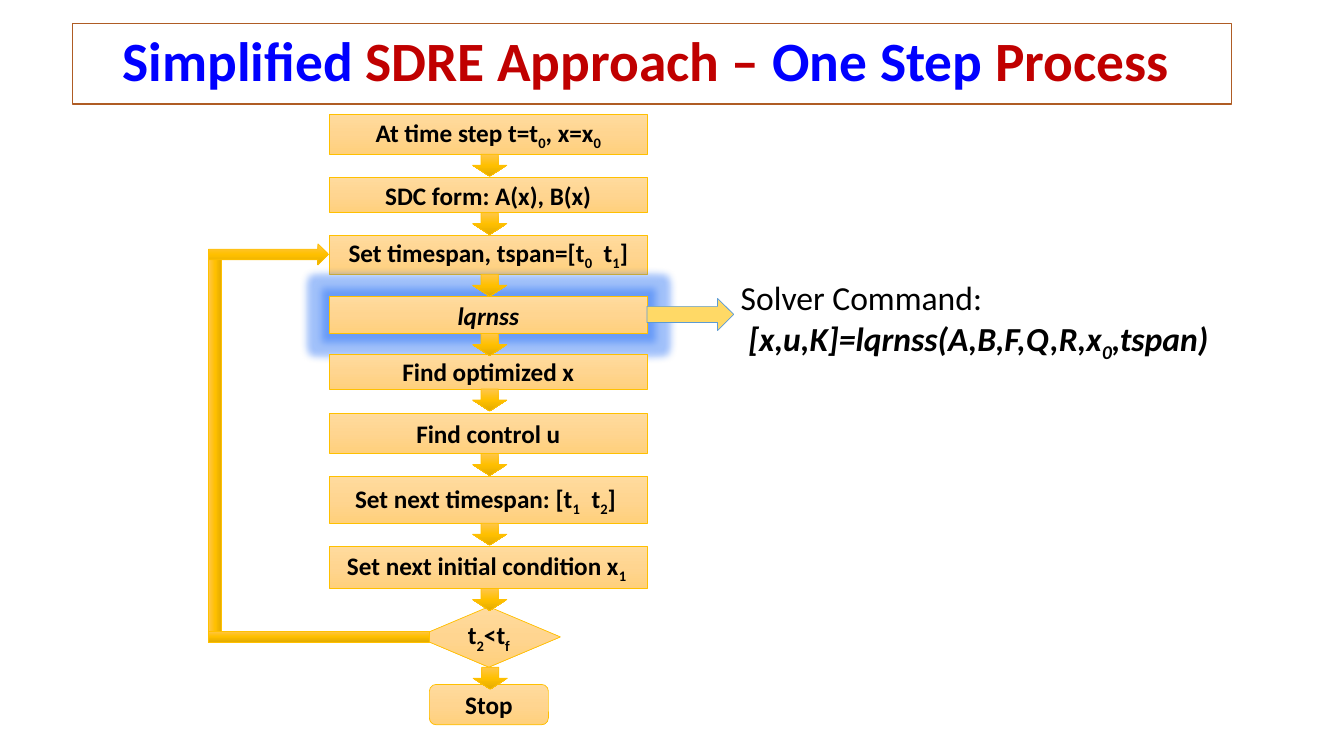
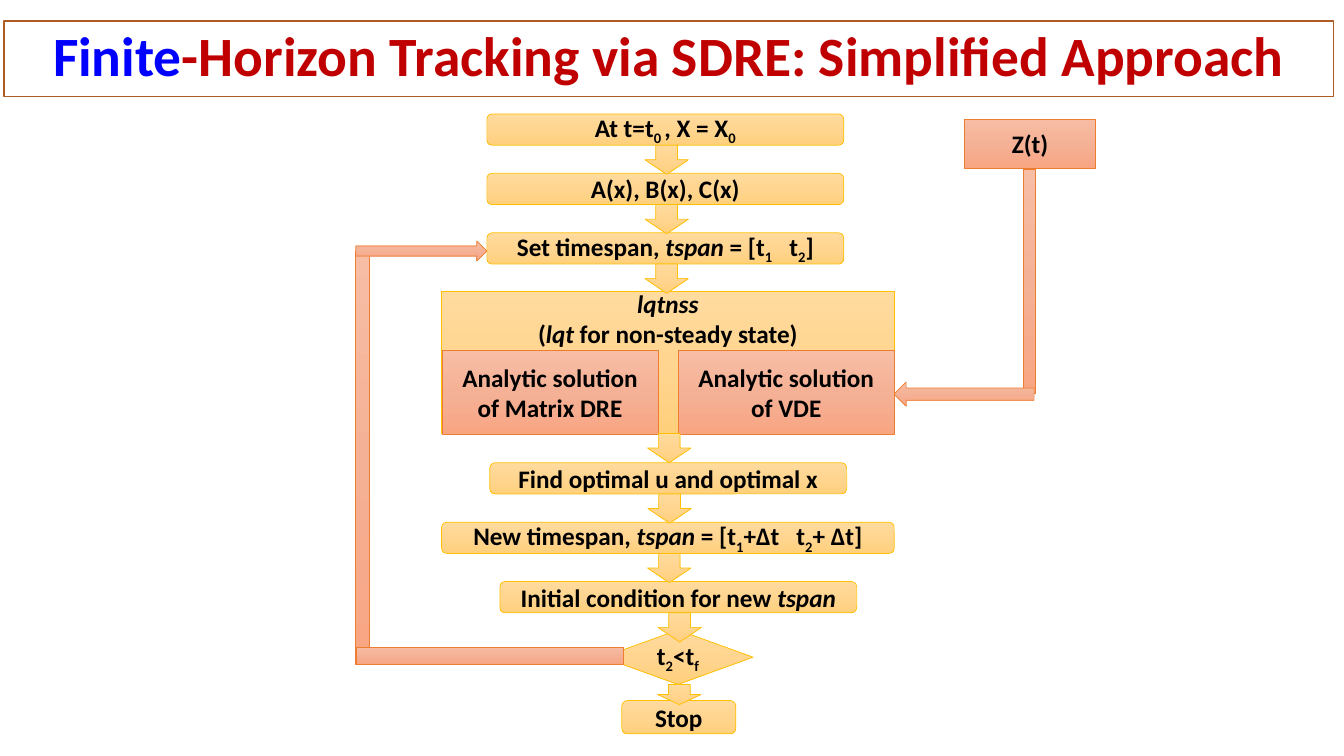
from dataclasses import dataclass
from copy import deepcopy
from lxml.etree import SubElement
from pptx import Presentation
from pptx.dml.color import RGBColor
from pptx.enum.shapes import MSO_SHAPE
from pptx.enum.text import MSO_ANCHOR, PP_ALIGN
from pptx.oxml.ns import qn
from pptx.util import Pt

FONT = "Calibri"
BLACK, WHITE, BLUE, RED, FRAME = "000000", "FFFFFF", "0000FF", "C00000", "AF5C24"
SAND = (("FFDB9E", "FFD590", "FFD07C"), "FFC000")
AMBER = (("FFC64B", "FFC000", "E3AB00"), "FFC000")
CORAL = (("F7BDA5", "F5B196", "F8A582"), "ED7D31")
YELLOW = (("FFD966",), "5B9BD5")
DOWNWARD, SIDEWAYS = 270, 0


@dataclass
class Box:
    left: float
    top: float
    width: float
    height: float

    @property
    def bottom(self):
        return self.top + self.height

    @property
    def middle(self):
        return self.left + self.width / 2

    def lengths(self):
        return [Pt(round(n, 2)) for n in (self.left, self.top, self.width, self.height)]


@dataclass
class Step:
    box: Box
    lines: list
    kind: MSO_SHAPE = MSO_SHAPE.RECTANGLE
    arrow_height: float = 0


def rgb(value):
    return RGBColor.from_string(value)


def paint_fill(fill, colours, angle):
    if len(colours) == 1:
        fill.solid()
        fill.fore_color.rgb = rgb(colours[0])
        return
    fill.gradient()
    fill.gradient_angle = angle
    first = fill._fill._gradFill.find(qn("a:gsLst"))[0]
    first.addnext(deepcopy(first))
    for stop, position, colour in zip(fill.gradient_stops, (0, 0.5, 1), colours):
        stop.position = position
        stop.color.rgb = rgb(colour)


def add_part(page, kind, box, style, angle=DOWNWARD, line_width=0.5):
    shape = page.shapes.add_shape(kind, *box.lengths())
    shape.shadow.inherit = False
    colours, outline = style
    paint_fill(shape.fill, colours, angle)
    shape.line.color.rgb = rgb(outline)
    shape.line.width = Pt(line_width)
    return shape


def add_span(para, text, size, colour=BLACK, marks="b"):
    span = para.add_run()
    span.text = text
    font = span.font
    font.name, font.size = FONT, Pt(size)
    font.bold, font.italic = "b" in marks, "i" in marks
    font.color.rgb = rgb(colour)
    if "s" in marks:
        font._element.set("baseline", "-25000")


def write(shape, lines, size=18, align=PP_ALIGN.CENTER):
    frame = shape.text_frame
    for number, line in enumerate(lines):
        para = frame.add_paragraph() if number else frame.paragraphs[0]
        para.alignment = align
        for text, marks in line:
            add_span(para, text, size, marks=marks)


def title(page, box, spans):
    shape = add_part(page, MSO_SHAPE.RECTANGLE, box, ((WHITE,), FRAME), line_width=1)
    shape.text_frame.word_wrap = True
    shape.text_frame.vertical_anchor = MSO_ANCHOR.MIDDLE
    para = shape.text_frame.paragraphs[0]
    para.alignment = PP_ALIGN.CENTER
    para.line_spacing = 0.9
    for text, colour in spans:
        add_span(para, text, 39.6, colour)


def labelled(page, kind, box, lines, style):
    shape = add_part(page, kind, box, style)
    shape.text_frame.word_wrap = True
    shape.text_frame.vertical_anchor = MSO_ANCHOR.MIDDLE
    write(shape, lines)
    return shape


def flow_steps(page, steps):
    return [labelled(page, step.kind, step.box, step.lines, SAND) for step in steps]


def flow_arrows(page, steps, width, height, style):
    for step in steps[:-1]:
        box = Box(step.box.middle + 1 - width / 2, step.box.bottom,
                  width, step.arrow_height or height)
        add_part(page, MSO_SHAPE.DOWN_ARROW, box, style)


def feedback_loop(page, box, style, arrow_width, arrow_height, bar_height, angle):
    riser_top = box.top + arrow_height / 2
    riser = Box(box.left, riser_top, 9.4, box.bottom - riser_top)
    add_part(page, MSO_SHAPE.RECTANGLE, riser, style, angle)
    bar = Box(box.left, box.bottom - bar_height, box.width, bar_height)
    add_part(page, MSO_SHAPE.RECTANGLE, bar, style)
    arrow = Box(box.left, box.top, arrow_width, arrow_height)
    add_part(page, MSO_SHAPE.RIGHT_ARROW, arrow, style)


def add_glow(shape, colour, radius, opacity):
    effects = shape._element.spPr.find(qn("a:effectLst"))
    glow = SubElement(effects, qn("a:glow"), rad=str(Pt(radius)))
    tint = SubElement(glow, qn("a:srgbClr"), val=colour)
    SubElement(tint, qn("a:alpha"), val=str(opacity * 1000))


def command_note(page, box):
    arrow = Box(box.left, box.top + 18.7, 61.9, 23)
    add_part(page, MSO_SHAPE.RIGHT_ARROW, arrow, YELLOW)
    text_box = Box(box.left + 59.8, box.top, box.width - 59.8, box.height)
    note = page.shapes.add_textbox(*text_box.lengths())
    note.text_frame.word_wrap = False
    write(note, [[("Solver Command:", "")],
                 [(" ", ""), ("[x,u,K]=lqrnss(A,B,F,Q,R,x", "bi"), ("0", "bis"),
                  (",tspan)", "bi")]], 24, PP_ALIGN.JUSTIFY)


def solver_parts(page, box):
    width = 154.1
    for left, name in ((box.left + 0.5, "Matrix DRE"), (box.left + box.width - width, "VDE")):
        part = Box(left, box.top + 42.5, width, 59.8)
        labelled(page, MSO_SHAPE.RECTANGLE, part,
                 [[("Analytic solution of " + name, "b")]], CORAL)


def reference_input(page, box):
    source = Box(box.left + 50.4, box.top, box.width - 50.4, 35.3)
    labelled(page, MSO_SHAPE.RECTANGLE, source, [[("Z(t)", "b")]], CORAL)
    stem = Box(source.middle - 5, source.bottom + 0.7, 8.6, 160)
    add_part(page, MSO_SHAPE.RECTANGLE, stem, CORAL)
    arrow = Box(box.left, box.bottom - 17.3, 100.1, 17.3)
    add_part(page, MSO_SHAPE.LEFT_ARROW, arrow, CORAL)


def condition(box, arrow_height=0):
    return Step(box, [[("t", "b"), ("2", "bs"), ("<t", "b"), ("f", "bs")]],
                MSO_SHAPE.FLOWCHART_DECISION, arrow_height)


def stop(box):
    return Step(box, [[("Stop", "b")]], MSO_SHAPE.FLOWCHART_ALTERNATE_PROCESS)


def one_step_process(page):
    title(page, Box(51.8, 16.6, 828, 57.6),
          [("Simplified", BLUE), (" SDRE Approach – ", RED),
           ("One Step ", BLUE), ("Process ", RED)])
    rows = [
        (81.4, 28.8, [("At time step t=t", "b"), ("0", "bs"), (", x=x", "b"), ("0", "bs")]),
        (126.7, 25.2, [("SDC form: A(x), B(x)", "b")]),
        (167.8, 28.1, [("Set timespan, tspan=[t", "b"), ("0", "bs"), ("  t", "b"),
                       ("1", "bs"), ("]", "b")]),
        (211.7, 26.6, [("lqrnss", "bi")]),
        (253.4, 24.5, [("Find optimized x", "b")]),
        (295.2, 28.8, [("Find control u", "b")]),
        (340.6, 33.1, [("Set next timespan: [t", "b"), ("1", "bs"), ("  t", "b"),
                       ("2", "bs"), ("] ", "b")]),
        (390.2, 30.2, [("Set next initial condition x", "b"), ("1 ", "bs")]),
    ]
    steps = [Step(Box(235.4, top, 226.8, height), [line]) for top, height, line in rows]
    steps += [condition(Box(298.1, 433.4, 102.2, 43.2)), stop(Box(306.7, 488.9, 85, 28.8))]
    shapes = flow_steps(page, steps)
    add_glow(shapes[3], "1564F5", 11, 40)
    flow_arrows(page, steps, 24.5, 15.8, AMBER)
    feedback_loop(page, Box(149, 174.2, 157.7, 284.4), AMBER, 85.7, 15.1, 7.9, SIDEWAYS)
    command_note(page, Box(462.2, 194.4, 416.9, 65.5))


def finite_horizon_tracking(page):
    title(page, Box(2.9, 15.1, 949.7, 54),
          [("Finite", BLUE), ("-Horizon Tracking via SDRE: Simplified Approach", RED)])
    rows = [
        (347.8, 81.4, 254.9, [("At t=t", "b"), ("0 ", "bs"), (", X = X", "b"), ("0", "bs")]),
        (347.8, 123.8, 254.9, [("A(x), B(x), C(x)", "b")]),
        (347.8, 166.3, 254.9, [("Set timespan, ", "b"), ("tspan", "bi"), (" = [t", "b"),
                               ("1", "bs"), ("   t", "b"), ("2", "bs"), ("]", "b")]),
        (349.9, 330.5, 254.9, [("Find optimal u and optimal x", "b")]),
        (315.4, 373, 323.3, [("New timespan, ", "b"), ("tspan", "bi"), (" = [t", "b"),
                             ("1", "bs"), ("+∆t   t", "b"), ("2", "bs"), ("+ ∆t]", "b")]),
        (357.1, 415.4, 254.9, [("Initial condition for new ", "b"), ("tspan", "bi")]),
    ]
    steps = [Step(Box(left, top, width, 22.3), [line], MSO_SHAPE.ROUNDED_RECTANGLE)
             for left, top, width, line in rows]
    solver = Step(Box(315.4, 208.1, 323.3, 101.5),
                  [[("lqtnss", "bi")],
                   [("(", "b"), ("lqt", "bi"), (" for non-steady state)", "b")]])
    steps.insert(3, solver)
    steps += [condition(Box(430.6, 450, 107.3, 38.9), 14.4), stop(Box(444.2, 500.4, 81.4, 23.8))]
    solver_frame = flow_steps(page, steps)[3].text_frame
    solver_frame.vertical_anchor = MSO_ANCHOR.TOP
    solver_frame.margin_top = Pt(-2.5)
    solver_parts(page, solver.box)
    flow_arrows(page, steps, 31, 20.9, SAND)
    reference_input(page, Box(638.6, 85, 144, 205.2))
    feedback_loop(page, Box(254.2, 172.1, 190.8, 302.4), CORAL, 93.6, 14.4, 12.2, DOWNWARD)


deck = Presentation()
deck.slide_width, deck.slide_height = Pt(960), Pt(540)
for build in (one_step_process, finite_horizon_tracking):
    build(deck.slides.add_slide(deck.slide_layouts[6]))
deck.save("out.pptx")
